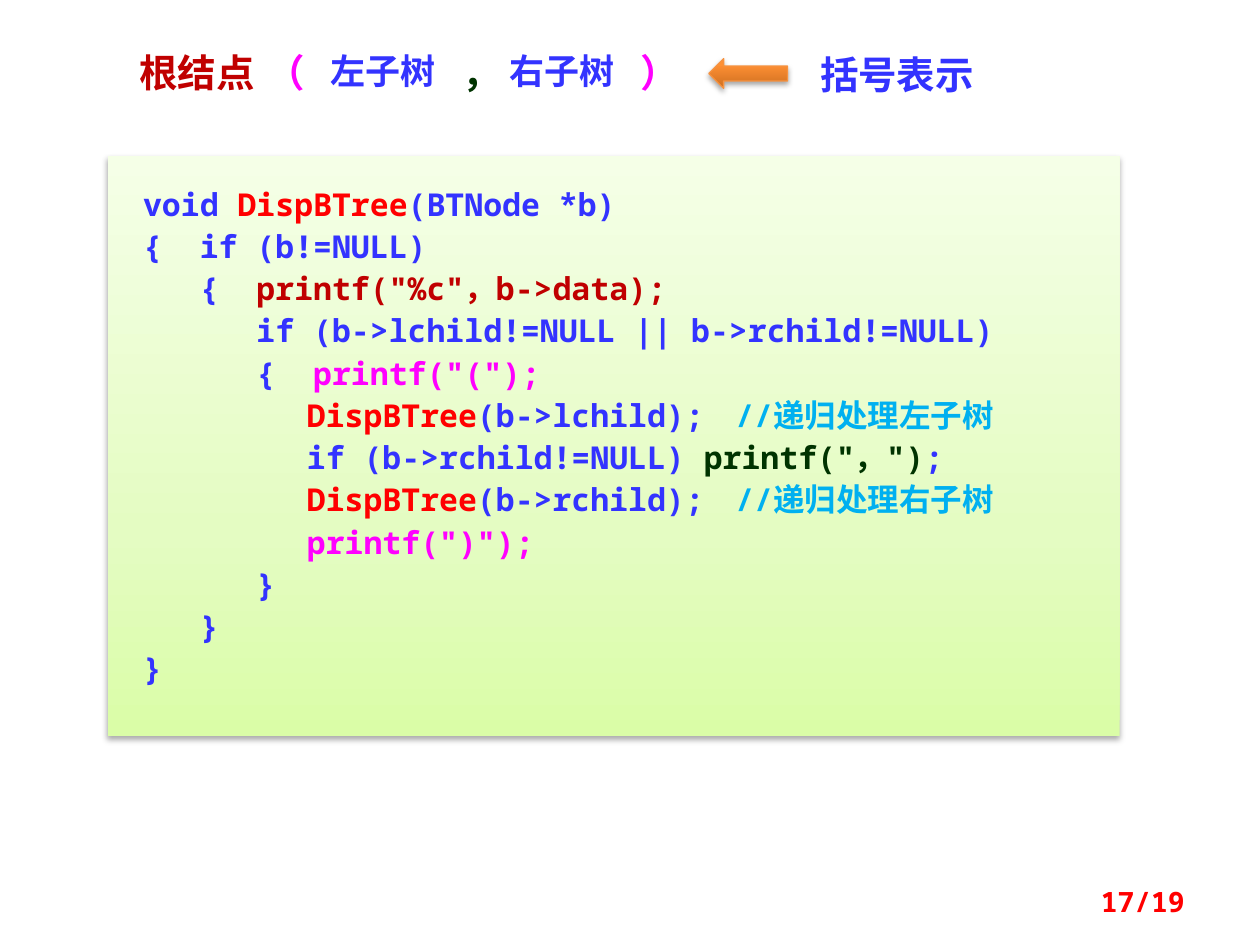
from lxml import etree
from pptx import Presentation
from pptx.dml.color import RGBColor
from pptx.enum.shapes import MSO_SHAPE
from pptx.enum.text import MSO_ANCHOR, PP_ALIGN
from pptx.oxml import parse_xml
from pptx.oxml.ns import nsdecls, qn
from pptx.util import Pt

RECTANGLE, LEFT_ARROW = MSO_SHAPE.RECTANGLE, MSO_SHAPE.LEFT_ARROW
LEFT, CENTER, RIGHT, JUSTIFY = (PP_ALIGN.LEFT, PP_ALIGN.CENTER,
                                PP_ALIGN.RIGHT, PP_ALIGN.JUSTIFY)
TOP, MIDDLE = MSO_ANCHOR.TOP, MSO_ANCHOR.MIDDLE

MONO, SANS, SERIF = "Noto Sans Mono", "Noto Sans CJK SC", "Times New Roman"
EAST_ASIAN = {MONO: MONO, SANS: SANS, SERIF: SANS}
BLUE, RED, DARK_RED, MAGENTA = "3333FF", "FF0000", "C00000", "FF00FF"
GREEN, SKY = "003300", "00B0F0"

CODE = [
    [("void ", BLUE), ("DispBTree", RED), ("(BTNode *b) ", BLUE)],
    [("{  if (b!=NULL)", BLUE)],
    [("   {  ", BLUE), ('printf("%c"，b->data);', DARK_RED)],
    [("      if (b->lchild!=NULL || b->rchild!=NULL)", BLUE)],
    [("      {  ", BLUE), ('printf("(");', MAGENTA)],
    [("\t  ", BLUE), ("DispBTree", RED), ("(b->lchild);　", BLUE), ("//递归处理左子树", SKY)],
    [("\t  if (b->rchild!=NULL) ", BLUE), ('printf("，")', GREEN), (";", BLUE)],
    [("\t  ", BLUE), ("DispBTree", RED), ("(b->rchild);　", BLUE), ("//递归处理右子树", SKY)],
    [("\t  ", BLUE), ('printf(")");', MAGENTA)],
    [("      }", BLUE)],
    [("   }", BLUE)],
    [("}", BLUE)],
]

# text, left, width, size, font, colour
FORMULA = [
    ("根结点", 67.5, 90, 22, SANS, DARK_RED),
    ("（", 152, 22.5, 22, SANS, MAGENTA),
    ("左子树", 174, 90, 20, SERIF, BLUE),
    ("，", 264, 22.5, 22, SANS, GREEN),
    ("右子树", 276, 90, 20, SERIF, BLUE),
    ("）", 366, 22.5, 22, SANS, MAGENTA),
]

CODE_FILL = [(0, "DAFDA7"), (35, "E4FCC2"), (100, "F5FFE7")]
ARROW_FILL = [(0, "CC6E20"), (80, "FF9034"), (100, "FF9136")]


def colour(value):
    return RGBColor.from_string(value)


def add_span(para, text, size, font, value):
    span = para.add_run()
    span.text = text
    span.font.size = Pt(size)
    span.font.name = font
    span.font.bold = True
    span.font.color.rgb = colour(value)
    east_asian = etree.SubElement(span.font._element, qn("a:ea"))
    east_asian.set("typeface", EAST_ASIAN[font])


def add_tab_stop(para, position):
    para._element.get_or_add_pPr().append(parse_xml(
        f'<a:tabLst {nsdecls("a")}><a:tab pos="{Pt(position)}" algn="l"/></a:tabLst>'))


def set_frame(shape, insets, anchor=TOP, wrap=True):
    frame = shape.text_frame
    frame.word_wrap = wrap
    frame.vertical_anchor = anchor
    (frame.margin_left, frame.margin_top,
     frame.margin_right, frame.margin_bottom) = map(Pt, insets)
    return frame


def add_label(page, place, text, size, font, value, align,
              insets=(0, 0, 0, 0), anchor=TOP):
    box = page.shapes.add_textbox(*map(Pt, place))
    para = set_frame(box, insets, anchor, wrap=False).paragraphs[0]
    para.alignment = align
    add_span(para, text, size, font, value)


def add_shaded(page, kind, place, stops, line, opacity, blur, distance):
    """Add a shape with a bottom-to-top gradient and a shadow below it."""
    shape = page.shapes.add_shape(kind, *map(Pt, place))
    shape.shadow.inherit = False
    if line:
        shape.line.color.rgb = colour(line)
        shape.line.width = Pt(0.75)
    else:
        shape.line.fill.background()
    shape.fill.gradient()
    shape.fill.gradient_angle = 90
    stop_list = shape._element.spPr.find(".//" + qn("a:gsLst"))
    for old in list(stop_list):
        stop_list.remove(old)
    for position, value in stops:
        stop_list.append(parse_xml(
            f'<a:gs {nsdecls("a")} pos="{position * 1000}"><a:srgbClr val="{value}"/></a:gs>'))
    shape._element.spPr.find(qn("a:effectLst")).append(parse_xml(
        f'<a:outerShdw {nsdecls("a")} blurRad="{Pt(blur)}" dist="{Pt(distance)}" '
        f'dir="5400000" rotWithShape="0"><a:srgbClr val="000000">'
        f'<a:alpha val="{opacity * 1000}"/></a:srgbClr></a:outerShdw>'))
    return shape


def main():
    deck = Presentation()
    deck.slide_width, deck.slide_height = Pt(720), Pt(540)
    page = deck.slides.add_slide(deck.slide_layouts[6])

    code_box = add_shaded(page, RECTANGLE, (61.75, 89, 578, 331.5), CODE_FILL, None, 32, 3.5, 2.2)
    frame = set_frame(code_box, (20, 22.5, 11.5, 8.5))
    for number, line in enumerate(CODE):
        para = frame.add_paragraph() if number else frame.paragraphs[0]
        add_tab_stop(para, 72)
        para.alignment = JUSTIFY
        para.line_spacing = 0.7
        if number:
            para.space_before = Pt(9)
        for text, value in line:
            add_span(para, text, 18, MONO, value)

    for text, left, width, size, font, value in FORMULA:
        add_label(page, (left, 28, width, 26.5), text, size, font, value, CENTER)

    add_shaded(page, LEFT_ARROW, (405, 33.5, 45, 17), ARROW_FILL, "F69240", 35, 3.1, 1.8)
    padding = (7.2, 3.6, 7.2, 3.6)
    add_label(page, (461.5, 25.5, 112.5, 34), "括号表示", 22, SERIF, BLUE, LEFT, padding)
    add_label(page, (516, 500.5, 168, 28.5), "17/19", 16, MONO, RED, RIGHT, padding, MIDDLE)

    deck.save("out.pptx")


if __name__ == "__main__":
    main()
